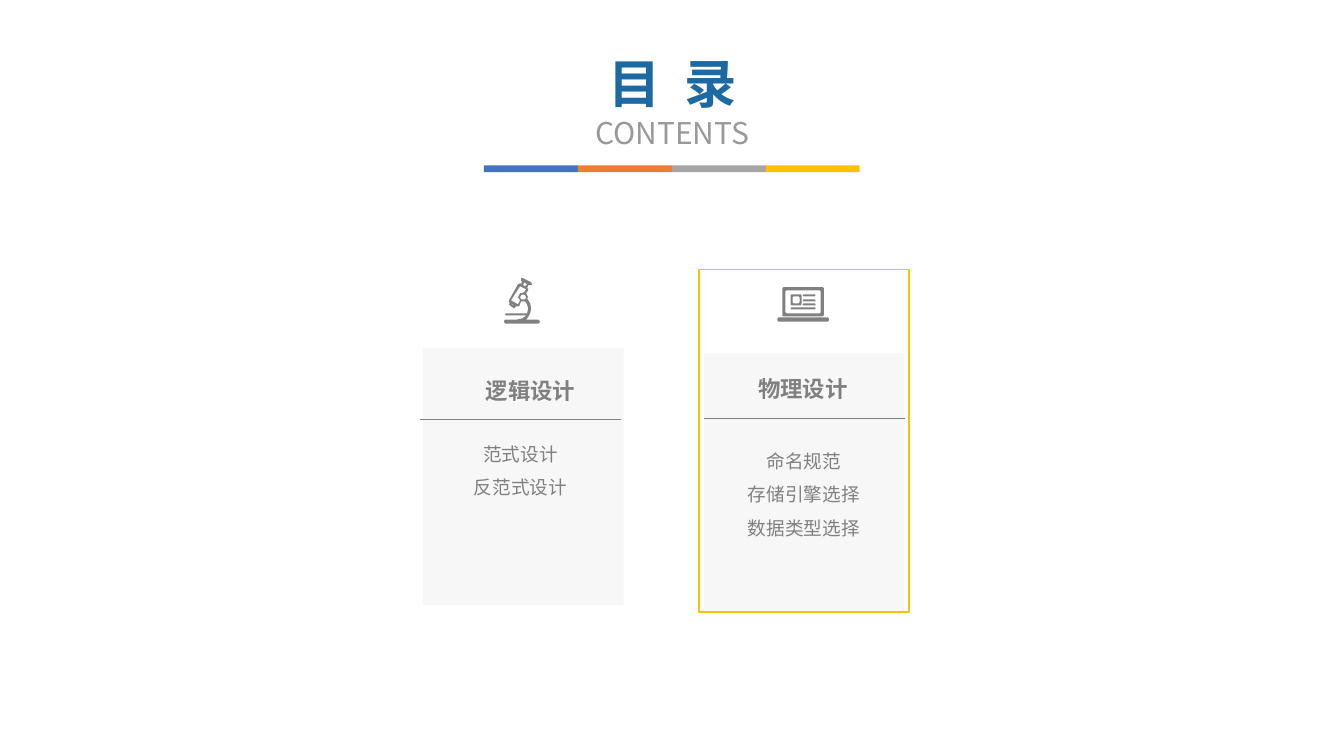
"""Build the contents slide with two design chapters."""
import lxml.etree
import pptx
import pptx.dml.color
import pptx.enum.shapes
import pptx.enum.text
import pptx.oxml.ns
import pptx.util

Pt = pptx.util.Pt
RGBColor = pptx.dml.color.RGBColor
qn = pptx.oxml.ns.qn
RECTANGLE = pptx.enum.shapes.MSO_SHAPE.RECTANGLE

FONT = "Noto Sans CJK SC"
BLUE = RGBColor(0x1D, 0x69, 0xA3)
SUBTITLE_GRAY = RGBColor(0x99, 0x99, 0x99)
GRAY = RGBColor(0x80, 0x80, 0x80)
PANEL_GRAY = RGBColor(0xD9, 0xD9, 0xD9)
GOLD = RGBColor(0xFF, 0xC0, 0x00)
BAR_COLORS = [RGBColor(0x44, 0x72, 0xC4), RGBColor(0xED, 0x7D, 0x31),
              RGBColor(0xA5, 0xA5, 0xA5), GOLD]

BAR_LEFT, BAR_TOP, BAR_WIDTH, BAR_HEIGHT = 345.7, 118.1, 67.1, 5
PANEL_WIDTH, PANEL_HEIGHT = 143.5, 184
FRAME = (499.3, 192.3, 150, 245)
TITLE_BOX = (402.5, 33.1, 155.5, 78.5)
TITLE_LINES = [("目  录", 37.4, BLUE, True), ("CONTENTS", 21.4, SUBTITLE_GRAY, False)]

ICON_UNIT = 0.72
LAPTOP_BOXES = [
    (5, 0, 46, 29), (8, 3, 43, 26), (13, 7, 24, 18), (15, 9, 22, 16),
    (25, 7, 38, 9), (25, 12, 38, 14), (25, 16, 38, 18), (13, 20, 38, 22),
    (0, 30, 51, 34),
]
MICROSCOPE = [
    [(23, 21), (26, 26), (27, 31), (26, 36), (23, 41), (22, 42), (34, 42),
     (36, 44), (34, 46), (1, 46), (0, 44), (1, 42), (13, 42), (18, 41),
     (21, 39), (22, 38), (2, 38), (1, 37), (2, 36), (23, 36), (24, 31),
     (23, 27), (21, 24), (17, 24), (15, 29), (12, 29), (10, 31), (6, 28),
     (5, 27), (6, 25), (5, 25), (5, 23), (14, 7), (16, 6), (17, 7), (18, 4),
     (17, 4), (17, 1), (19, 1), (27, 5), (28, 8), (24, 8), (23, 11),
     (24, 11), (24, 13), (22, 16), (24, 20)],
    [(23, 7), (20, 5), (19, 8), (21, 9)],
    [(20, 15), (22, 12), (16, 9), (7, 23), (14, 27), (16, 23), (14, 20), (16, 16)],
    [(21, 18), (19, 17), (17, 18), (16, 20), (17, 22), (19, 22), (21, 22), (22, 20)],
    [(8, 26), (8, 27), (10, 28)],
]


def chamfered(left, top, right, bottom):
    return [(left + 1, top), (right - 1, top), (right, top + 1), (right, bottom - 1),
            (right - 1, bottom), (left + 1, bottom), (left, bottom - 1), (left, top + 1)]


CARDS = [
    {"panel": (302, 248.4), "rule": (299.8, 299.5),
     "icon": (360, 198), "contours": MICROSCOPE,
     "heading": "逻辑设计", "heading_box": (314.6, 265.7, 128.9, 26.6),
     "items": ["范式设计", "反范式设计"], "items_box": (331.2, 304.6, 81.4, 79.9)},
    {"panel": (502.8, 252), "rule": (502.8, 298.8),
     "icon": (555.3, 205.2), "contours": [chamfered(*box) for box in LAPTOP_BOXES],
     "heading": "物理设计", "heading_box": (534.2, 264.2, 78.5, 26.6),
     "items": ["命名规范", "存储引擎选择", "数据类型选择"],
     "items_box": (518.4, 309.6, 111.6, 79.9)},
]


def add_rectangle(slide, box, fill=None, alpha=None, line=None):
    shape = slide.shapes.add_shape(RECTANGLE, *map(Pt, box))
    shape.shadow.inherit = False
    if fill is None:
        shape.fill.background()
    else:
        shape.fill.solid()
        shape.fill.fore_color.rgb = fill
    if alpha is not None:
        color = shape._element.spPr.find(qn("a:solidFill"))[0]
        lxml.etree.SubElement(color, qn("a:alpha")).set("val", str(alpha * 1000))
    if line is None:
        shape.line.fill.background()
    else:
        shape.line.color.rgb = line
        shape.line.width = Pt(1)


def add_text(slide, box, lines, spacing=1.0):
    frame = slide.shapes.add_textbox(*map(Pt, box)).text_frame
    frame.word_wrap = True
    for index, (text, size, color, bold) in enumerate(lines):
        paragraph = frame.add_paragraph() if index else frame.paragraphs[0]
        paragraph.text = text
        paragraph.alignment = pptx.enum.text.PP_ALIGN.CENTER
        paragraph.line_spacing = spacing
        font = paragraph.font
        font.name, font.size, font.bold = FONT, Pt(size), bold
        font.color.rgb = color
        lxml.etree.SubElement(font._element, qn("a:ea")).set("typeface", FONT)


def add_rule(slide, left, top):
    rule = slide.shapes.add_connector(
        pptx.enum.shapes.MSO_CONNECTOR.STRAIGHT,
        Pt(left), Pt(top), Pt(left + PANEL_WIDTH), Pt(top))
    rule.line.color.rgb = GRAY
    rule.line.width = Pt(0.5)
    lxml.etree.SubElement(rule._element.spPr, qn("a:effectLst"))


def add_icon(slide, position, contours):
    builder = slide.shapes.build_freeform(*contours[0][0], scale=Pt(ICON_UNIT))
    for index, contour in enumerate(contours):
        if index:
            builder.move_to(*contour[0])
        builder.add_line_segments(contour[1:], close=True)
    icon = builder.convert_to_shape(*map(Pt, position))
    icon.shadow.inherit = False
    icon.fill.solid()
    icon.fill.fore_color.rgb = GRAY
    icon.line.fill.background()


def main():
    presentation = pptx.Presentation()
    presentation.slide_width, presentation.slide_height = Pt(960), Pt(540)
    slide = presentation.slides.add_slide(presentation.slide_layouts[6])
    for index, color in enumerate(BAR_COLORS):
        left = BAR_LEFT + index * BAR_WIDTH
        add_rectangle(slide, (left, BAR_TOP, BAR_WIDTH, BAR_HEIGHT), color)
    add_text(slide, TITLE_BOX, TITLE_LINES)
    for card in CARDS:
        add_rectangle(slide, (*card["panel"], PANEL_WIDTH, PANEL_HEIGHT), PANEL_GRAY, 20)
        add_rule(slide, *card["rule"])
        add_icon(slide, card["icon"], card["contours"])
        items = [(item, 13.3, GRAY, False) for item in card["items"]]
        add_text(slide, card["items_box"], items, 1.5)
        add_text(slide, card["heading_box"], [(card["heading"], 16, GRAY, True)])
    add_rectangle(slide, FRAME, line=GOLD)
    presentation.save("out.pptx")


if __name__ == "__main__":
    main()
